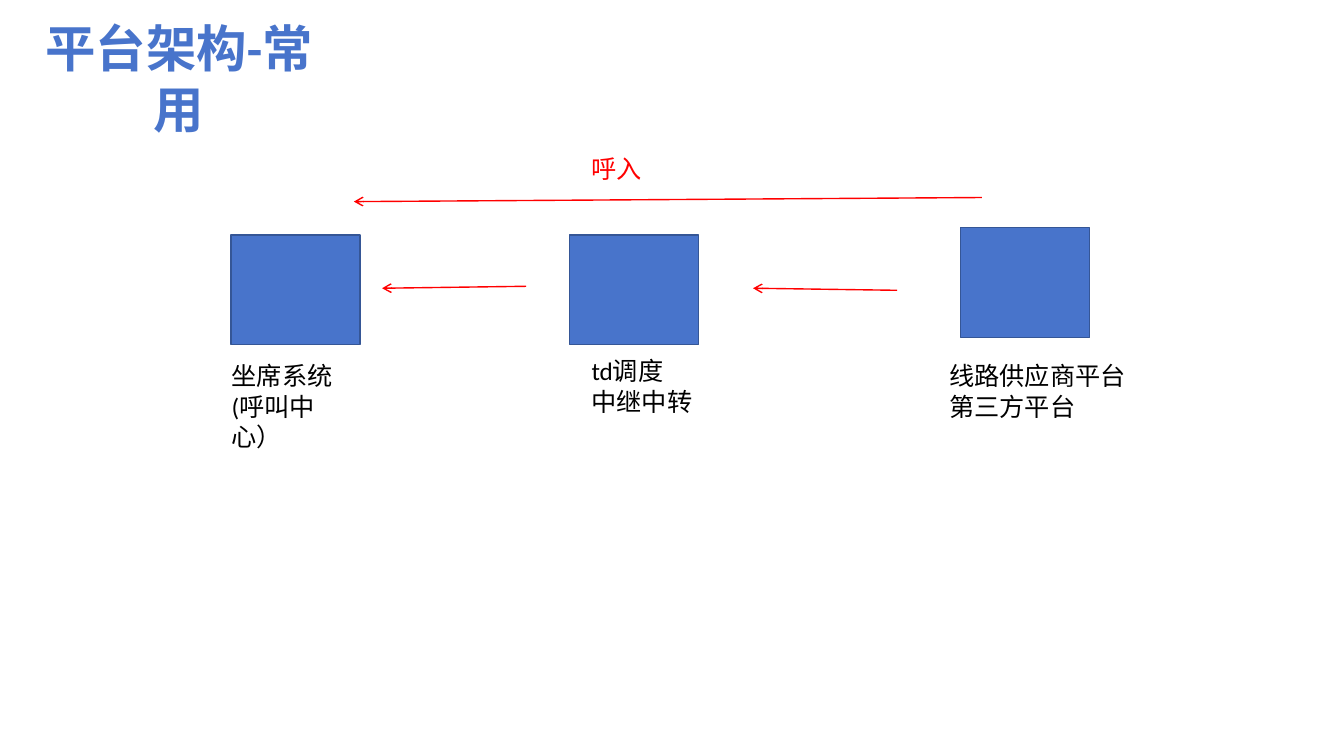
from lxml.etree import SubElement
from pptx import Presentation
from pptx.dml.color import RGBColor
from pptx.enum.shapes import MSO_CONNECTOR, MSO_SHAPE
from pptx.enum.text import MSO_ANCHOR, MSO_AUTO_SIZE, PP_ALIGN
from pptx.oxml.ns import qn
from pptx.util import Inches, Pt


def paint(color_format, color):
    color_format.rgb = RGBColor.from_string(color)


def write(text_frame, lines, size, color, bold=False, alignment=PP_ALIGN.LEFT):
    text_frame.word_wrap = True
    text_frame.auto_size = MSO_AUTO_SIZE.NONE
    text_frame.vertical_anchor = MSO_ANCHOR.TOP
    for index, line in enumerate(lines):
        paragraph = text_frame.add_paragraph() if index else text_frame.paragraphs[0]
        paragraph.alignment = alignment
        run = paragraph.add_run()
        run.text = line
        run.font.name = "Calibri"
        run.font.size = Pt(size)
        run.font.bold = bold
        paint(run.font.color, color)


BLUE, DARK_BLUE, RED, BLACK = "4874CB", "355696", "FF0000", "000000"

presentation = Presentation()
presentation.slide_width = Inches(13.33)
presentation.slide_height = Inches(7.5)
column = presentation.slide_width / 100
row = presentation.slide_height / 100
slide = presentation.slides.add_slide(presentation.slide_layouts[5])

title = slide.shapes.title
title.left, title.top = int(0.75 * column), int(1.6 * row)
title.width, title.height = int(25.13 * column), int(9.47 * row)
write(title.text_frame, ["平台架构-常用"], 36, BLUE, True, PP_ALIGN.CENTER)

for left, top in [(17.18, 31.07), (42.38, 31.07), (71.48, 30.13)]:
    system = slide.shapes.add_shape(
        MSO_SHAPE.RECTANGLE,
        int(left * column), int(top * row), int(9.6 * column), int(14.53 * row),
    )
    system.shadow.inherit = False
    system.fill.solid()
    paint(system.fill.fore_color, BLUE)
    paint(system.line.color, DARK_BLUE)
    system.line.width = Pt(1)

labels = [
    (16.5, 47.07, 11.03, 9.47, ["坐席系统", "(呼叫中心）"], BLACK),
    (43.28, 46.4, 11.4, 9.47, ["td调度", "中继中转"], BLACK),
    (69.9, 47.07, 15.6, 9.47, ["线路供应商平台", "第三方平台"], BLACK),
    (43.28, 19.6, 6.15, 5.33, ["呼入"], RED),
]
for left, top, width, height, lines, color in labels:
    label = slide.shapes.add_textbox(
        int(left * column), int(top * row), int(width * column), int(height * row)
    )
    write(label.text_frame, lines, 18, color)

calls = [
    (39.15, 37.87, 28.43, 38.13),
    (66.75, 38.4, 56.03, 38.13),
    (73.05, 26.13, 26.33, 26.67),
]
for begin_x, begin_y, end_x, end_y in calls:
    arrow = slide.shapes.add_connector(
        MSO_CONNECTOR.STRAIGHT,
        int(begin_x * column), int(begin_y * row), int(end_x * column), int(end_y * row),
    )
    paint(arrow.line.color, RED)
    arrow.line.width = Pt(1)
    SubElement(arrow.line._get_or_add_ln(), qn("a:tailEnd"), type="arrow")
    SubElement(arrow._element.spPr, qn("a:effectLst"))

presentation.save("out.pptx")
